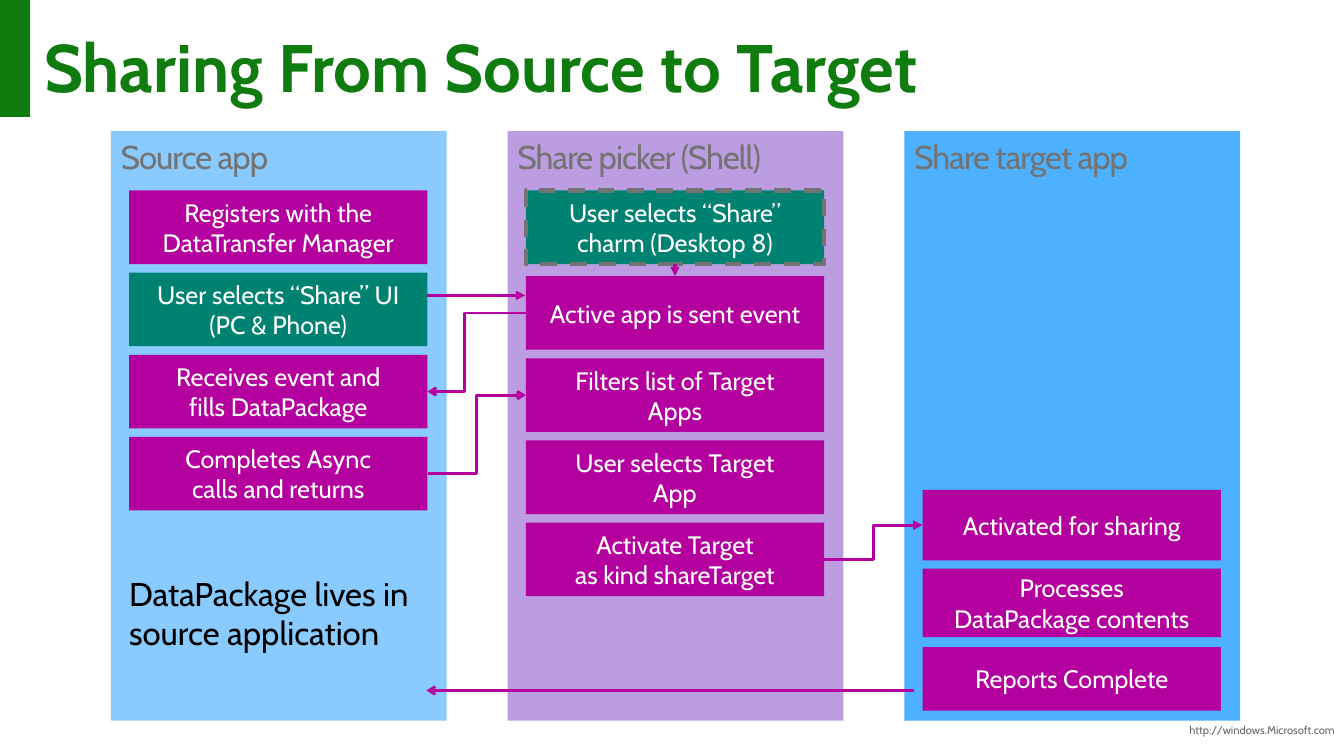
"""Build a slide that traces sharing from a source app to a target app."""
from lxml import etree
from pptx import Presentation
from pptx import util as u
from pptx.dml.color import RGBColor
from pptx.enum import dml, shapes, text
from pptx.oxml.ns import qn

HUES = {"green": "107C10", "sky": "89CBFF", "lilac": "BD9DE1", "blue": "4EB1FF",
        "plum": "B4009E", "teal": "008272", "grey": "737373", "link": "666666",
        "white": "FFFFFF", "black": "000000"}
TITLE = "Sharing From Source to Target"
LINK = "http://windows.Microsoft.com"
NOTE = "DataPackage lives in source application"
LANES = [("Source app", "sky"), ("Share picker (Shell)", "lilac"),
         ("Share target app", "blue")]
STEPS = {
    "enrol": (0, 0, "plum", "Registers with the DataTransfer Manager"),
    "share": (0, 1, "teal", "User selects “Share” UI (PC & Phone)"),
    "fill": (0, 2, "plum", "Receives event and\nfills DataPackage"),
    "calls": (0, 3, "plum", "Completes Async\ncalls and returns"),
    "charm": (1, -1, "teal", "User selects “Share” charm (Desktop 8)"),
    "event": (1, 0, "plum", "Active app is sent event"),
    "filter": (1, 1, "plum", "Filters list of Target\nApps"),
    "pick": (1, 2, "plum", "User selects Target\nApp"),
    "launch": (1, 3, "plum", "Activate Target\nas kind shareTarget"),
    "start": (2, 0, "plum", "Activated for sharing"),
    "work": (2, 1, "plum", "Processes\nDataPackage contents"),
    "done": (2, 2, "plum", "Reports Complete"),
}
JOINS = [("calls", 3, "filter", 1, 2, "arrow", 0.5),
         ("event", 1, "fill", 3, 2, "arrow", 0.62),
         ("charm", 2, "event", 0, 2.25, "triangle", None),
         ("launch", 3, "start", 1, 2.25, "triangle", 0.5)]
LOOSE = [((9.07, 6.85), (4.23, 6.85), 2, "arrow"),
         ((4.24, 2.93), (5.21, 2.93), 2.25, "triangle")]

LEFT, TOP, PITCH, WIDE, TALL = 1.1, 1.3, 3.935, 3.33, 5.85
INSET, BOX = 0.18, 2.96
ROWS = [(1.89, 0.815), (2.74, 0.815), (4.86, 0.78)]
HIGH = {"start": 0.7, "work": 0.68, "done": 0.63}
FIRST = 1.89

deck = Presentation()
deck.slide_width, deck.slide_height = u.Inches(13.33), u.Inches(7.5)
slide = deck.slides.add_slide(deck.slide_layouts[5])


def tint(hue):
    return RGBColor.from_string(HUES[hue])


def write(shape, words, size, hue, align="LEFT", anchor="TOP",
          pads=(0.1, 0.05, 0.1, 0.05), bold=False, space=1.0, track=0):
    frame = shape.text_frame
    sides = [u.Inches(pad) for pad in pads]
    look = {"word_wrap": True, "auto_size": text.MSO_AUTO_SIZE.NONE,
            "vertical_anchor": getattr(text.MSO_ANCHOR, anchor),
            "margin_left": sides[0], "margin_top": sides[1],
            "margin_right": sides[2], "margin_bottom": sides[3]}
    for key, value in look.items():
        setattr(frame, key, value)
    para = frame.paragraphs[0]
    para.text = words
    para.alignment = getattr(text.PP_ALIGN, align)
    para.line_spacing = space
    for run in para.runs:
        for key, value in {"name": "Cabin", "size": u.Pt(size), "bold": bold}.items():
            setattr(run.font, key, value)
        run.font.color.rgb = tint(hue)
        if track:
            run._r.get_or_add_rPr().set("spc", str(track))


def block(x, y, w, h, hue):
    shape = slide.shapes.add_shape(shapes.MSO_SHAPE.RECTANGLE,
                                   *map(u.Inches, (x, y, w, h)))
    shape.shadow.inherit = False
    shape.fill.solid()
    shape.fill.fore_color.rgb = tint(hue)
    shape.line.fill.background()
    return shape


def label(x, y, w, h):
    return slide.shapes.add_textbox(*map(u.Inches, (x, y, w, h)))


def arrow(start, end, width, head, bend=None):
    kind = shapes.MSO_CONNECTOR.ELBOW if bend else shapes.MSO_CONNECTOR.STRAIGHT
    link = slide.shapes.add_connector(kind, *map(u.Inches, (*start, *end)))
    link.line.color.rgb = tint("plum")
    link.line.width = u.Pt(width)
    etree.SubElement(link.line._get_or_add_ln(), qn("a:tailEnd"), type=head)
    props = link._element.spPr
    etree.SubElement(props, qn("a:effectLst"))
    if bend:
        guides = props.find(qn("a:prstGeom")).find(qn("a:avLst"))
        etree.SubElement(guides, qn("a:gd"), name="adj1",
                         fmla=f"val {round(bend * 100000)}")
    return link


def port(shape, side):
    x, y, w, h = (v / u.Inches(1) for v in
                  (shape.left, shape.top, shape.width, shape.height))
    return [(x + w / 2, y), (x, y + h / 2), (x + w / 2, y + h), (x + w, y + h / 2)][side]


write(label(11.52, 7.13, 1.82, 0.33), LINK, 8, "link", "RIGHT")
block(0, 0, 0.3, 1.16, "green")
title = slide.shapes.title
for key, value in {"left": 0.29, "top": 0.22, "width": 12.74, "height": 1.07}.items():
    setattr(title, key, u.Inches(value))
write(title, TITLE, 48, "green", pads=(0.15, 0.12, 0.15, 0.12), bold=True, space=0.9)

for col, (name, hue) in enumerate(LANES):
    lane = block(LEFT + col * PITCH, TOP, WIDE, TALL, hue)
    write(lane, name, 23.5, "grey", pads=(0.1, 0.1, 0.05, 0.1), space=0.9, track=-70)

boxes = {}
for key, (col, row, hue, words) in STEPS.items():
    base, step = ROWS[col]
    y = FIRST if row < 0 else base + row * step
    boxes[key] = block(LEFT + INSET + col * PITCH, y, BOX, HIGH.get(key, 0.73), hue)
    write(boxes[key], words, 18, "white", "CENTER", "MIDDLE")

edge = boxes["charm"].line
edge.color.rgb = tint("grey")
edge.width = u.Pt(3)
edge.dash_style = dml.MSO_LINE.DASH

write(label(LEFT + INSET, 5.69, 3.14, 0.79), NOTE, 23.5, "black", pads=(0, 0, 0, 0))

for tail, out, tip, into, width, head, bend in JOINS:
    link = arrow(port(boxes[tail], out), port(boxes[tip], into), width, head, bend)
    link.begin_connect(boxes[tail], out)
    link.end_connect(boxes[tip], into)
for start, end, width, head in LOOSE:
    arrow(start, end, width, head)

deck.save("out.pptx")
